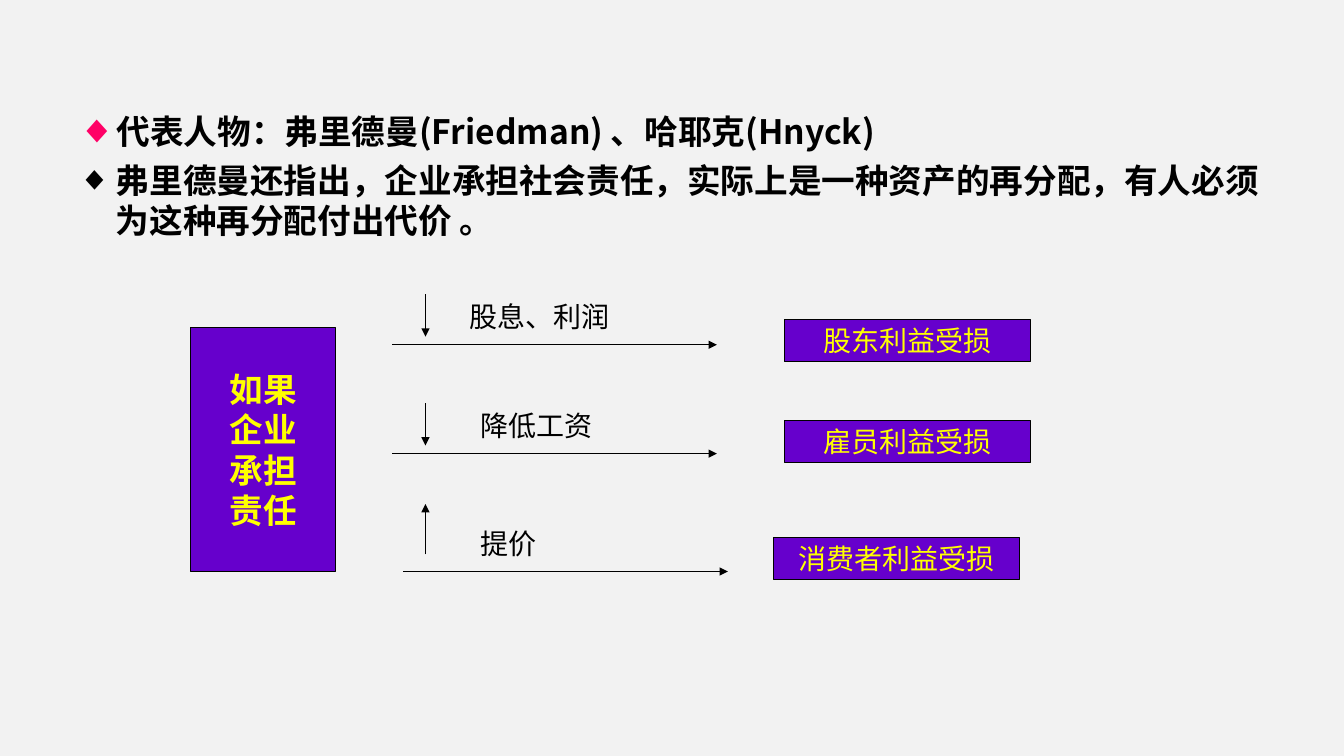
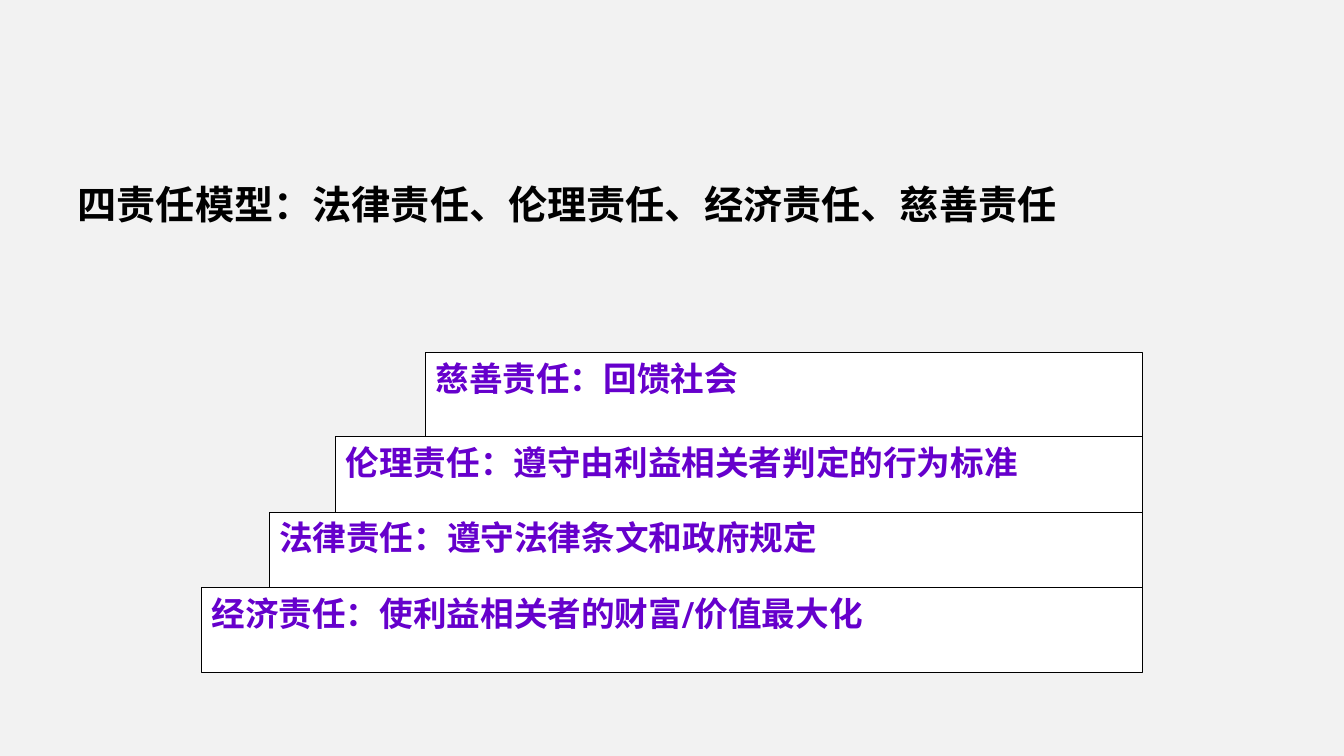
import pptx
import pptx.dml.color
import pptx.enum.shapes
import pptx.enum.text
import pptx.oxml
import pptx.oxml.ns
import pptx.util

PX = 9144
COLORS = {
    "page": "F2F2F2",
    "ink": "000000",
    "purple": "6600CC",
    "yellow": "FFFF00",
    "pink": "FF0066",
    "white": "FFFFFF",
}
CHINESE_FONT = "Noto Sans CJK SC"
MAIN_FONT = "Roboto"
ALIGN = pptx.enum.text.PP_ALIGN
ANCHOR = pptx.enum.text.MSO_ANCHOR
SHAPE = pptx.enum.shapes.MSO_SHAPE


def px(length):
    """Turn px into EMU."""
    return pptx.util.Emu(length * PX)


def rgb(name):
    """Look up a named colour."""
    return pptx.dml.color.RGBColor.from_string(COLORS[name])


def add_element(parent, tag, **attributes):
    """Append a drawing element with its attributes."""
    element = parent.makeelement(pptx.oxml.ns.qn(tag), attributes)
    parent.append(element)
    return element


def move(shape, box):
    """Place a shape in a box of left, top, width, height."""
    shape.left, shape.top, shape.width, shape.height = map(px, box)


def style(para, size, color, font=MAIN_FONT, bold=False, align=ALIGN.LEFT):
    """Set the font and alignment of a paragraph."""
    para.alignment = align
    para.font.size = pptx.util.Pt(size)
    para.font.bold = bold
    para.font.color.rgb = rgb(color)
    para.font.name = font
    add_element(para.font._element, "a:ea", typeface=CHINESE_FONT)


def write(frame, lines, **look):
    """Write one styled paragraph for each line."""
    frame.text = "\n".join(lines)
    for para in frame.paragraphs:
        style(para, **look)


def add_panel(page, box, lines, fill, kind=SHAPE.RECTANGLE,
              anchor=ANCHOR.MIDDLE, wrap=False, **look):
    """Add a filled, outlined shape with text."""
    panel = page.shapes.add_shape(kind, *map(px, box))
    panel.shadow.inherit = False
    panel.fill.solid()
    panel.fill.fore_color.rgb = rgb(fill)
    panel.line.color.rgb = rgb("ink")
    panel.line.width = pptx.util.Pt(0.75)
    panel.text_frame.word_wrap = wrap
    panel.text_frame.vertical_anchor = anchor
    write(panel.text_frame, lines, **look)


def add_arrow(page, start, end):
    """Draw a thin arrow between two points."""
    arrow = page.shapes.add_connector(
        pptx.enum.shapes.MSO_CONNECTOR.STRAIGHT, *map(px, start + end))
    arrow.line.color.rgb = rgb("ink")
    arrow.line.width = pptx.util.Pt(0.75)
    add_element(arrow.line._get_or_add_ln(), "a:tailEnd", type="triangle")
    add_element(arrow._element.spPr, "a:effectLst")


def add_diamond(para, color, percent):
    """Give a paragraph a hanging diamond bullet."""
    settings = para._p.get_or_add_pPr()
    settings.set("marL", str(px(38)))
    settings.set("indent", str(-px(38)))
    bullet_color = add_element(settings, "a:buClr")
    add_element(bullet_color, "a:srgbClr", val=COLORS[color])
    add_element(settings, "a:buSzPct", val=str(percent * 1000))
    add_element(settings, "a:buFont", typeface="Arial")
    add_element(settings, "a:buChar", char="◆")


def add_points(page, box, points):
    """Fill the body placeholder with diamond points."""
    body = page.placeholders[1]
    move(body, box)
    body.text_frame.text = "\n".join(text for text, _, _ in points)
    for index, (para, point) in enumerate(zip(body.text_frame.paragraphs, points)):
        add_diamond(para, *point[1:])
        para.space_before = pptx.util.Pt(6 if index else 0)
        style(para, 24, "ink", CHINESE_FONT, bold=True)


def add_effect(page, box, label, label_at, trend, line_at, result, result_at):
    """Draw one effect: trend arrow, label, long arrow and result."""
    left, top, width, height = box
    trend_ends = [(left + 33, top), (left + 33, top + height)]
    add_arrow(page, *(trend_ends if trend == "down" else trend_ends[::-1]))
    shift, drop = line_at
    add_arrow(page, (left + shift, top + drop), (left + shift + width, top + drop))
    note = page.shapes.add_textbox(
        px(left + label_at[0]), px(top + label_at[1]), px(222), px(44))
    note.text_frame.word_wrap = True
    write(note.text_frame, [label], size=20, color="ink")
    add_panel(page, (left + result_at[0], top + result_at[1], 244, 42), [result],
              "purple", size=20, color="yellow", align=ALIGN.CENTER)


def build_effects_page(deck):
    """Build the page on who pays for responsibility."""
    page = deck.slides.add_slide(deck.slide_layouts[1])
    title = page.shapes.title._element
    title.getparent().remove(title)
    add_points(page, (67, 105, 1200, 160), [
        ("代表人物：弗里德曼(Friedman) 、哈耶克(Hnyck)", "pink", 117),
        ("弗里德曼还指出，企业承担社会责任，实际上是一种资产的再分配，"
         "有人必须为这种再分配付出代价 。", "ink", 100),
    ])
    add_panel(page, (189, 325, 144, 242), ["如果", "企业", "承担", "责任"], "purple",
              size=24, color="yellow", bold=True, align=ALIGN.CENTER)
    effects = [
        (292, 42, "股息、利润", (67, 0), "down", (0, 50), "股东利益受损", (389, 25)),
        (400, 42, "降低工资", (78, 0), "down", (0, 50), "雇员利益受损", (389, 17)),
        (500, 50, "提价", (78, 17), "up", (11, 67), "消费者利益受损", (378, 33)),
    ]
    for top, height, *parts in effects:
        add_effect(page, (389, top, 322, height), *parts)


def add_steps(page, box, steps):
    """Stack steps that share the right edge of the box."""
    left, top, width, height = box
    ends = [drop for _, drop, _, _ in steps[1:]] + [height]
    for (inset, drop, text, font), end in zip(steps, ends):
        add_panel(page, (left + inset, top + drop, width - inset, end - drop), [text],
                  "white", SHAPE.FLOWCHART_PROCESS, ANCHOR.TOP, True, size=24,
                  color="purple", font=font, bold=True, align=ALIGN.JUSTIFY)


def build_model_page(deck):
    """Build the page on the four responsibilities."""
    page = deck.slides.add_slide(deck.slide_layouts[5])
    title = page.shapes.title
    move(title, (67, 165, 1200, 75))
    title.text_frame.vertical_anchor = ANCHOR.MIDDLE
    write(title.text_frame, ["四责任模型：法律责任、伦理责任、经济责任、慈善责任"],
          size=28, color="ink", font="Arial", bold=True)
    add_steps(page, (200, 350, 933, 317), [
        (222, 0, "慈善责任：回馈社会", "Times New Roman"),
        (133, 83, "伦理责任：遵守由利益相关者判定的行为标准", MAIN_FONT),
        (67, 158, "法律责任：遵守法律条文和政府规定", "Times New Roman"),
        (0, 233, "经济责任：使利益相关者的财富/价值最大化", MAIN_FONT),
    ])


def main():
    """Build and save the deck."""
    deck = pptx.Presentation()
    deck.slide_width, deck.slide_height = px(1333), px(750)
    background = deck.slide_master.background.fill
    background.solid()
    background.fore_color.rgb = rgb("page")
    build_effects_page(deck)
    build_model_page(deck)
    deck.save("out.pptx")


if __name__ == "__main__":
    main()
